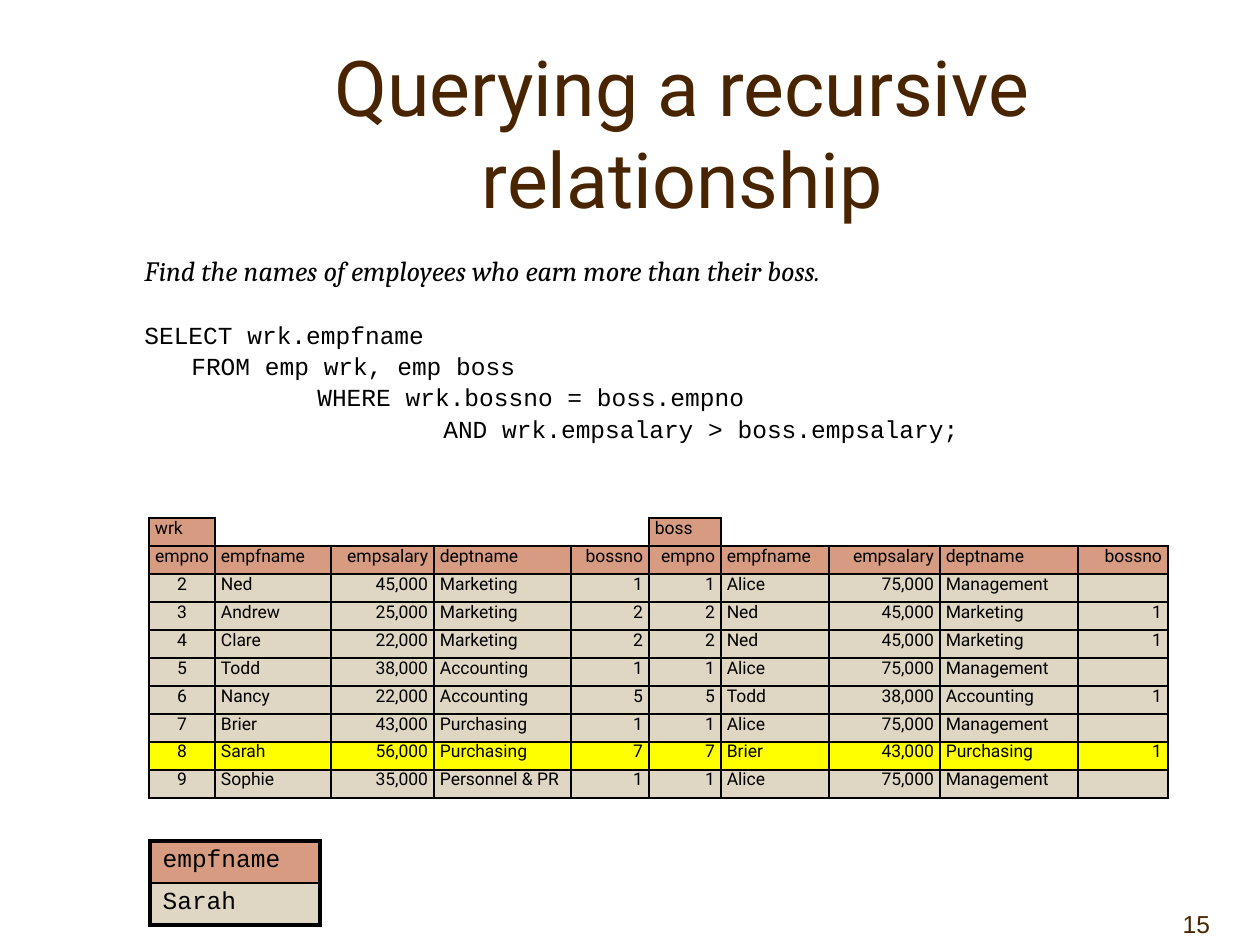
"""Builds a slide on querying a recursive relationship in SQL."""
from pptx import Presentation, util as u
from pptx.dml.color import RGBColor
from pptx.enum import text
from pptx.oxml.ns import qn
from lxml import etree

BROWN = RGBColor(0x48, 0x24, 0x00)
BLACK = RGBColor(0x00, 0x00, 0x00)
HEADER = RGBColor(0xD6, 0x9B, 0x80)
SAND = RGBColor(0xDF, 0xD6, 0xC3)
YELLOW = RGBColor(0xFF, 0xFF, 0x00)
PLAIN_STYLE = "{2D5ABB26-0587-4C30-8999-92F81FD0307C}"
LEFT, CENTER, RIGHT = text.PP_ALIGN.LEFT, text.PP_ALIGN.CENTER, text.PP_ALIGN.RIGHT

TITLE = "Querying a recursive relationship"
QUESTION = "Find the names of employees who earn more than their boss."
QUERY = [
    ("SELECT wrk.empfname", 0, 20.3),
    ("FROM emp wrk, emp boss", 47, 2.8),
    ("WHERE wrk.bossno = boss.empno", 173, 2.8),
    ("AND wrk.empsalary > boss.empsalary;", 299, 2.8),
]
FIELDS = ["empno", "empfname", "empsalary", "deptname", "bossno"]
EMPLOYEES = {
    "1": ("Alice", "75,000", "Management", ""),
    "2": ("Ned", "45,000", "Marketing", "1"),
    "3": ("Andrew", "25,000", "Marketing", "2"),
    "4": ("Clare", "22,000", "Marketing", "2"),
    "5": ("Todd", "38,000", "Accounting", "1"),
    "6": ("Nancy", "22,000", "Accounting", "5"),
    "7": ("Brier", "43,000", "Purchasing", "1"),
    "8": ("Sarah", "56,000", "Purchasing", "7"),
    "9": ("Sophie", "35,000", "Personnel & PR", "1"),
}
MATCH = "8"
RESULT = ["empfname", "Sarah"]
JOIN_WIDTHS = [66, 116, 103, 13, 124, 78, 72, 108, 111, 24, 114, 90]
JOIN_ALIGNS = [CENTER, LEFT, RIGHT, LEFT, RIGHT, RIGHT, LEFT, RIGHT, LEFT, RIGHT]
ALIAS_COLUMNS = [0, 1, 2, 4, 5, 6, 7, 8, 10, 11]
FIELD_COLUMNS = [0, 1, 2, 3, 5, 6, 7, 8, 9, 11]
ALIAS_SPANS, FIELD_SPANS = (2, 8), (3, 9)


def px(length):
    return u.Emu(round(length * 914400 / 126))


def style(paragraph, font_name, size, color=BLACK, align=LEFT, before=0, after=0):
    paragraph.alignment = align
    paragraph.space_before, paragraph.space_after = u.Pt(before), u.Pt(after)
    font = paragraph.font
    font.name, font.size, font.color.rgb = font_name, u.Pt(size), color


def add_text_box(slide, left, top, width, height):
    frame = slide.shapes.add_textbox(px(left), px(top), px(width), px(height)).text_frame
    frame.word_wrap = True
    return frame


def add_table(slide, left, top, widths, row_height, row_count):
    shape = slide.shapes.add_table(row_count, len(widths), px(left), px(top),
                                   px(sum(widths)), px(row_height * row_count))
    table = shape.table
    table.first_row = table.horz_banding = False
    table._tbl.tblPr.find(qn("a:tableStyleId")).text = PLAIN_STYLE
    for column, width in zip(table.columns, widths):
        column.width = px(width)
    for row in table.rows:
        row.height = px(row_height)
    return table


def set_borders(cell, **widths):
    properties = cell._tc.get_or_add_tcPr()
    for position, edge in enumerate(edge for edge in "LRTB" if edge in widths):
        line = etree.Element(qn("a:ln" + edge), w=str(u.Pt(widths[edge])))
        fill = etree.SubElement(line, qn("a:solidFill"))
        etree.SubElement(fill, qn("a:srgbClr"), val=str(BLACK))
        properties.insert(position, line)


def fill_cell(cell, value, color, font_name, size, **layout):
    cell.fill.solid()
    cell.fill.fore_color.rgb = color
    write_cell(cell, value, font_name, size, **layout)


def write_cell(cell, value, font_name, size, **layout):
    paragraph = cell.text_frame.paragraphs[0]
    if value:
        paragraph.text = value
    style(paragraph, font_name, size, **layout)
    etree.SubElement(paragraph._p, qn("a:endParaRPr"), sz=str(size * 100))


def add_join_table(slide):
    rows = [["wrk", "", "", "", "", "boss", "", "", "", ""], FIELDS * 2]
    for number, employee in EMPLOYEES.items():
        boss = employee[-1]
        if boss:
            rows.append([number, *employee, boss, *EMPLOYEES[boss]])
    table = add_table(slide, 149, 518, JOIN_WIDTHS, 28, len(rows))
    for cell in table.iter_cells():
        cell.margin_left = cell.margin_right = px(6)
        cell.margin_top = cell.margin_bottom = 0
    for r, values in enumerate(rows):
        color = HEADER if r < 2 else YELLOW if values[0] == MATCH else SAND
        spans = FIELD_SPANS if r else ALIAS_SPANS
        for start in spans:
            table.cell(r, start).merge(table.cell(r, start + 1))
            covered = table.cell(r, start + 1)
            write_cell(covered, "", "Roboto", 10)
            set_borders(covered, **(dict(T=1, B=1, R=1) if r else dict(B=1)))
        columns = FIELD_COLUMNS if r else ALIAS_COLUMNS
        for c, value, align in zip(columns, values, JOIN_ALIGNS):
            cell = table.cell(r, c)
            layout = dict(align=align if r else LEFT, before=3, after=3)
            if r or value:
                fill_cell(cell, value, color, "Roboto", 10, **layout)
                set_borders(cell, L=1, R=1, T=1, B=1)
            else:
                write_cell(cell, value, "Roboto", 10, **layout)
                set_borders(cell, B=1)


def add_result_table(slide):
    table = add_table(slide, 150, 841, [170], 40, len(RESULT))
    last = len(RESULT) - 1
    for r, value in enumerate(RESULT):
        cell = table.cell(r, 0)
        fill_cell(cell, value, SAND if r else HEADER, "Courier New", 14)
        set_borders(cell, L=2.25, R=2.25, T=1 if r else 2.25, B=2.25 if r == last else 1)


def add_title(slide):
    title = slide.shapes.title
    title.left, title.top, title.width, title.height = px(147), px(53), px(1071), px(158)
    frame = title.text_frame
    frame.text = TITLE
    frame.auto_size = text.MSO_AUTO_SIZE.NONE
    frame.vertical_anchor = text.MSO_ANCHOR.MIDDLE
    style(frame.paragraphs[0], "Roboto", 44, BROWN, CENTER)


def add_query(slide):
    frame = add_text_box(slide, 132, 251, 1071, 217)
    question = frame.paragraphs[0]
    question.text = QUESTION
    question.line_spacing = 0.9
    style(question, "Cambria", 16, before=3)
    question.font.italic = True
    for line, indent, before in QUERY:
        paragraph = frame.add_paragraph()
        paragraph.text = line
        paragraph.line_spacing = 0.9
        style(paragraph, "Courier New", 14, before=before)
        paragraph._p.get_or_add_pPr().set("marL", str(px(indent)))


def add_page_number(slide):
    frame = add_text_box(slide, 1134, 882, 126, 63)
    frame.margin_right = px(50)
    frame.vertical_anchor = text.MSO_ANCHOR.BOTTOM
    frame.text = "15"
    style(frame.paragraphs[0], "Arial", 14, BROWN, RIGHT)


def main():
    presentation = Presentation()
    presentation.slide_width, presentation.slide_height = px(1260), px(945)
    slide = presentation.slides.add_slide(presentation.slide_layouts[5])
    add_page_number(slide)
    add_title(slide)
    add_query(slide)
    add_join_table(slide)
    add_result_table(slide)
    presentation.save("out.pptx")


if __name__ == "__main__":
    main()
